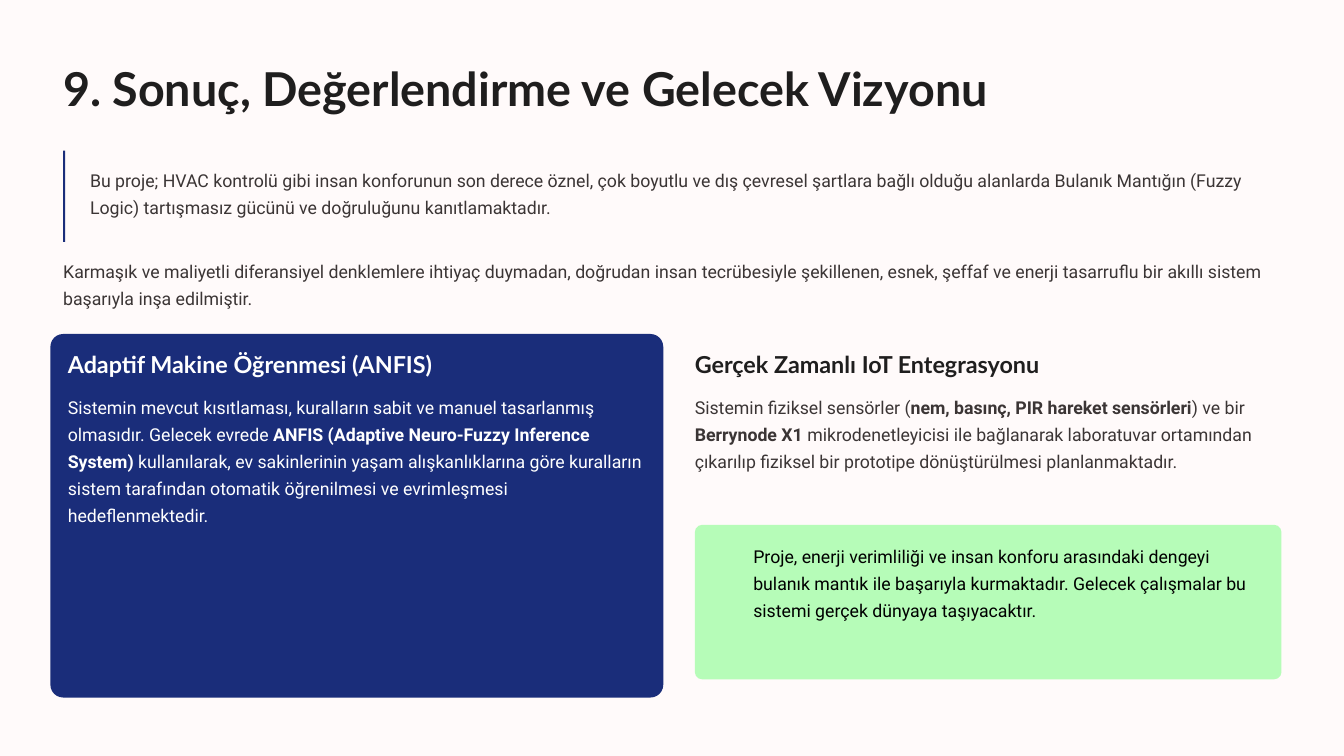
from pptx import Presentation
from pptx import util as u
from pptx.dml.color import RGBColor
from pptx.enum import shapes, text

BACKGROUND = RGBColor(0xFF, 0xFA, 0xFA)
NAVY = RGBColor(0x1A, 0x2D, 0x7A)
GREEN = RGBColor(0xB6, 0xFC, 0xB8)
HEADING = RGBColor(0x1F, 0x1E, 0x1E)
BODY = RGBColor(0x3B, 0x35, 0x35)
WHITE = RGBColor(0xFF, 0xFF, 0xFF)
BLACK = RGBColor(0x00, 0x00, 0x00)

MARGIN = 0.94
LEFT_COLUMN = 1.01
RIGHT_COLUMN = 10.34
HEADING_TOP = 5.2
COLUMN_TOP = 5.82


def place(shape, left, top, width, height):
    shape.left, shape.top = u.Inches(left), u.Inches(top)
    shape.width, shape.height = u.Inches(width), u.Inches(height)


def write(shape, parts, font_name, size, line_spacing, color, bold=False):
    """Fill the shape with one paragraph; every second part is emphasised."""
    frame = shape.text_frame
    frame.word_wrap = True
    frame.auto_size = text.MSO_AUTO_SIZE.NONE
    frame.vertical_anchor = text.MSO_ANCHOR.TOP
    frame.margin_left = frame.margin_right = 0
    frame.margin_top = frame.margin_bottom = 0
    paragraph = frame.paragraphs[0]
    paragraph.alignment = text.PP_ALIGN.LEFT
    paragraph.line_spacing = u.Pt(line_spacing)
    paragraph.font.name = font_name
    paragraph.font.size = u.Pt(size)
    paragraph.font.bold = bold
    paragraph.font.color.rgb = color
    for index, part in enumerate(parts):
        run = paragraph.add_run()
        run.text = part
        if index % 2:
            run.font.bold = True


def add_title(slide, title):
    shape = slide.shapes.title
    place(shape, MARGIN, 0.85, 16.87, 0.9)
    write(shape, [title], "Lato", 50, 62.4, HEADING, bold=True)


def add_text_box(slide, left, top, width, height):
    return slide.shapes.add_textbox(
        u.Inches(left), u.Inches(top), u.Inches(width), u.Inches(height))


def add_heading(slide, left, heading, color):
    box = add_text_box(slide, left, HEADING_TOP, 7.24, 0.45)
    write(box, [heading], "Lato", 25, 31.2, color, bold=True)


def add_body(slide, left, top, width, height, parts, color=BODY):
    box = add_text_box(slide, left, top, width, height)
    write(box, parts, "Roboto", 19, 28.9, color)


def add_panel(slide, left, top, width, height, color, radius=0):
    kind = shapes.MSO_SHAPE.ROUNDED_RECTANGLE if radius else shapes.MSO_SHAPE.RECTANGLE
    panel = slide.shapes.add_shape(
        kind, u.Inches(left), u.Inches(top), u.Inches(width), u.Inches(height))
    if radius:
        panel.adjustments[0] = radius / min(width, height)
    panel.shadow.inherit = False
    panel.fill.solid()
    panel.fill.fore_color.rgb = color
    panel.line.fill.background()


def main():
    presentation = Presentation()
    presentation.slide_width = u.Inches(20)
    presentation.slide_height = u.Inches(11.25)
    slide = presentation.slides.add_slide(
        presentation.slide_layouts.get_by_name("Title Only"))
    slide.background.fill.solid()
    slide.background.fill.fore_color.rgb = BACKGROUND

    add_title(slide, "9. Sonuç, Değerlendirme ve Gelecek Vizyonu")

    add_panel(slide, MARGIN, 2.24, 0.03, 1.36, NAVY)
    add_body(slide, 1.34, 2.44, 17.72, 0.89, [
        "Bu proje; HVAC kontrolü gibi insan konforunun son derece öznel, çok "
        "boyutlu ve dış çevresel şartlara bağlı olduğu alanlarda Bulanık Mantığın "
        "(Fuzzy Logic) tartışmasız gücünü ve doğruluğunu kanıtlamaktadır."])
    add_body(slide, MARGIN, 3.8, 18.12, 0.89, [
        "Karmaşık ve maliyetli diferansiyel denklemlere ihtiyaç duymadan, doğrudan "
        "insan tecrübesiyle şekillenen, esnek, şeffaf ve enerji tasarruflu bir "
        "akıllı sistem başarıyla inşa edilmiştir."])

    add_panel(slide, 0.75, 4.97, 9.12, 5.41, NAVY, radius=0.19)
    add_heading(slide, LEFT_COLUMN, "Adaptif Makine Öğrenmesi (ANFIS)", WHITE)
    add_body(slide, LEFT_COLUMN, COLUMN_TOP, 8.58, 2.12, [
        "Sistemin mevcut kısıtlaması, kuralların sabit ve manuel tasarlanmış "
        "olmasıdır. Gelecek evrede ",
        "ANFIS (Adaptive Neuro-Fuzzy Inference System)",
        " kullanılarak, ev sakinlerinin yaşam alışkanlıklarına göre kuralların "
        "sistem tarafından otomatik öğrenilmesi ve evrimleşmesi hedeflenmektedir.",
    ], WHITE)

    add_heading(slide, RIGHT_COLUMN, "Gerçek Zamanlı IoT Entegrasyonu", HEADING)
    add_body(slide, RIGHT_COLUMN, COLUMN_TOP, 8.73, 1.71, [
        "Sistemin fiziksel sensörler (",
        "nem, basınç, PIR hareket sensörleri",
        ") ve bir ",
        "Berrynode X1",
        " mikrodenetleyicisi ile bağlanarak laboratuvar ortamından çıkarılıp "
        "fiziksel bir prototipe dönüştürülmesi planlanmaktadır.",
    ])

    add_panel(slide, RIGHT_COLUMN, 7.81, 8.73, 2.3, GREEN, radius=0.11)
    add_body(slide, 11.21, 8.04, 7.59, 1.71, [
        "Proje, enerji verimliliği ve insan konforu arasındaki dengeyi bulanık "
        "mantık ile başarıyla kurmaktadır. Gelecek çalışmalar bu sistemi gerçek "
        "dünyaya taşıyacaktır."], BLACK)

    presentation.save("out.pptx")


if __name__ == "__main__":
    main()
